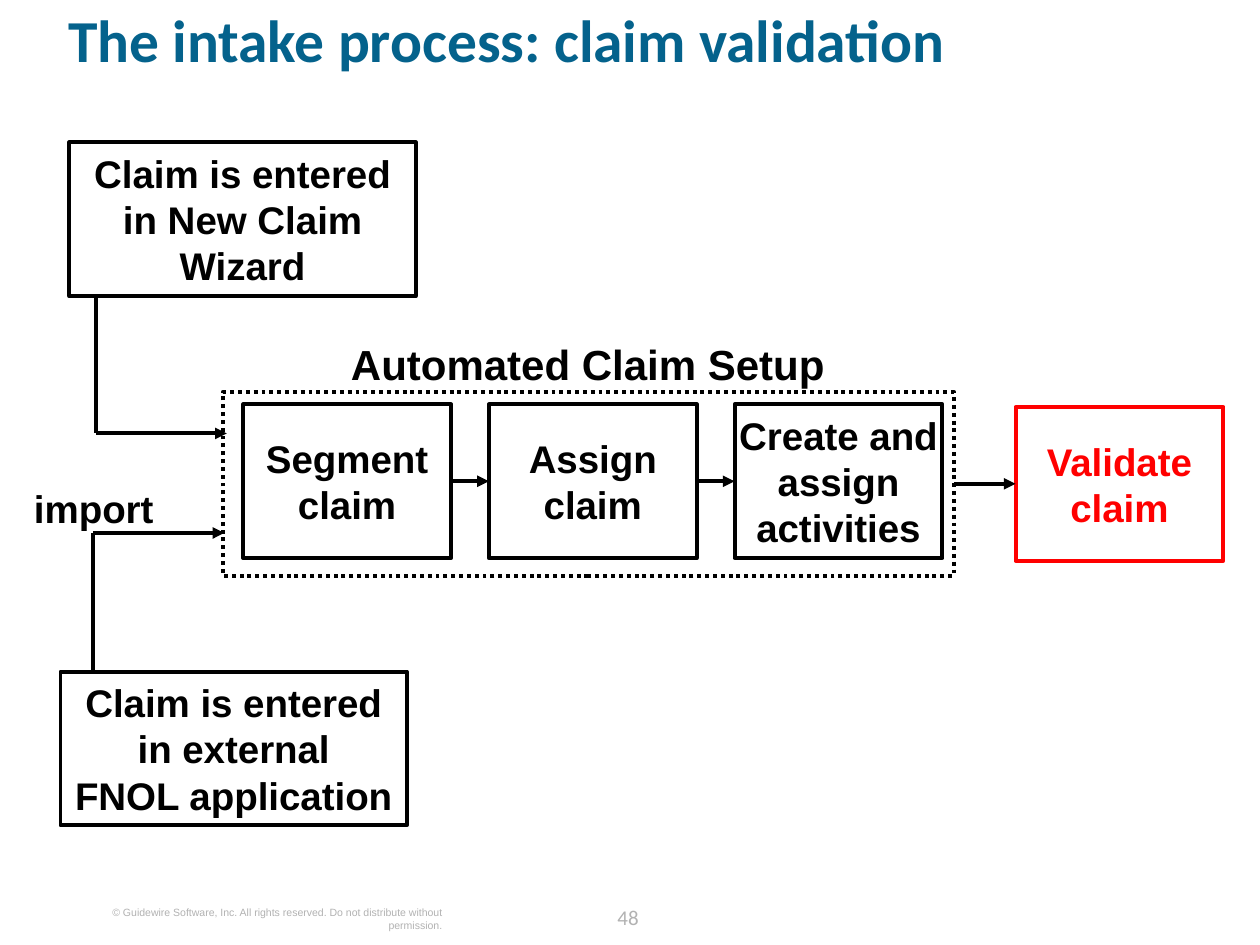
from dataclasses import dataclass

from lxml.etree import SubElement as Sub
from pptx import Presentation
from pptx.dml.color import RGBColor as RGB
from pptx.enum.dml import MSO_LINE as Dash
from pptx.enum.shapes import MSO_CONNECTOR as Conn, MSO_SHAPE as Shape
from pptx.enum.text import MSO_ANCHOR as Anchor, PP_ALIGN as Align
from pptx.oxml.ns import qn
from pptx.util import Inches, Pt


@dataclass(frozen=True)
class Theme:
    """Colours, fonts and sizes of the slide."""
    ink: RGB = RGB(0, 0, 0)
    paper: RGB = RGB(255, 255, 255)
    alert: RGB = RGB(255, 0, 0)
    blue: RGB = RGB(0x04, 0x62, 0x8C)
    gray: RGB = RGB(0xB2, 0xB2, 0xB2)
    body: str = "Arial"
    head: str = "Calibri"
    title: Pt = Pt(34)
    group: Pt = Pt(24)
    step: Pt = Pt(22)
    page: Pt = Pt(12)
    note: Pt = Pt(6)
    rule: Pt = Pt(2.25)


THEME = Theme()


def apply(item, vals):
    """Set each attribute in the dict on the item."""
    for name, val in vals.items():
        setattr(item, name, val)


def write(shape, text, size, color, face=THEME.body, bold=True,
          align=Align.CENTER, anchor=Anchor.TOP, pad=0, space=None):
    """Write one paragraph of text into a shape."""
    frame = shape.text_frame
    side = Inches(pad)
    apply(frame, dict(margin_left=side, margin_right=side, margin_top=0,
                      margin_bottom=0, word_wrap=True, vertical_anchor=anchor))
    para = frame.paragraphs[0]
    para.text = text
    apply(para, dict(alignment=align, line_spacing=space))
    font = para.runs[0].font
    for run in para.runs:
        font = run.font
        apply(font, dict(name=face, size=size, bold=bold))
        font.color.rgb = color


def label(slide, area, text, size, color, **style):
    """Add a text box."""
    box = slide.shapes.add_textbox(*map(Inches, area))
    write(box, text, size, color, **style)


def rect(slide, area, color=THEME.ink, dash=None):
    """Add an unfilled outlined rectangle."""
    box = slide.shapes.add_shape(Shape.RECTANGLE, *map(Inches, area))
    box.shadow.inherit = False
    box.fill.background()
    apply(box.line, dict(width=THEME.rule, dash_style=dash))
    box.line.color.rgb = color
    return box


def step(slide, area, text, color=THEME.ink, pad=0):
    """Add a filled box with centred text."""
    box = rect(slide, area, color)
    box.fill.solid()
    box.fill.fore_color.rgb = THEME.paper
    write(box, text, THEME.step, color, anchor=Anchor.MIDDLE, pad=pad)
    return box


def link(slide, start, end, arrow=True):
    """Add a straight line, with an arrowhead if wanted."""
    line = slide.shapes.add_connector(Conn.STRAIGHT, *map(Inches, start + end))
    line.line.width = THEME.rule
    line.line.color.rgb = THEME.ink
    if arrow:
        Sub(line.line._get_or_add_ln(), qn("a:tailEnd"), type="triangle")
    Sub(line._element.spPr, qn("a:effectLst"))
    return line


def join(slide, left, right):
    """Draw an arrow from the right side of one box to the next box."""
    line = link(slide, (0, 0), (0, 0))
    line.begin_connect(left, 3)
    line.end_connect(right, 1)


def bend(slide, start, end):
    """Draw a line down or up, then an arrow to the right."""
    turn = (start[0], end[1])
    link(slide, start, turn, arrow=False)
    link(slide, turn, end)


def main():
    """Build and save the slide."""
    deck = Presentation()
    apply(deck, dict(slide_width=Inches(10), slide_height=Inches(7.5)))
    slide = deck.slides.add_slide(deck.slide_layouts[6])

    label(slide, (0.54, 0.13, 9.1, 0.81), "The intake process: claim validation",
          THEME.title, THEME.blue, face=THEME.head, align=Align.LEFT, space=0.8)

    step(slide, (0.55, 1.13, 2.75, 1.22),
         "Claim is entered in New Claim Wizard", pad=0.1)
    step(slide, (0.48, 5.33, 2.75, 1.22),
         "Claim is entered in external\vFNOL application", pad=0.1)

    label(slide, (2.48, 2.69, 4.37, 0.4), "Automated Claim Setup",
          THEME.group, THEME.ink)
    setup = rect(slide, (1.77, 3.11, 5.8, 1.46), dash=Dash.ROUND_DOT)
    names = ("Segment\vclaim", "Assign\vclaim", "Create and assign activities")
    steps = [step(slide, (1.93 + 1.95 * i, 3.21, 1.65, 1.22), name)
             for i, name in enumerate(names)]
    check = step(slide, (8.06, 3.23, 1.65, 1.22), "Validate\vclaim", THEME.alert)

    for left, right in [*zip(steps, steps[1:]), (setup, check)]:
        join(slide, left, right)
    bend(slide, (0.76, 2.35), (1.8, 3.44))
    bend(slide, (0.74, 5.33), (1.78, 4.23))
    label(slide, (0.27, 3.85, 1.07, 0.37), "import",
          THEME.step, THEME.ink, align=Align.LEFT)

    label(slide, (0.61, 7.19, 2.9, 0.2),
          "© Guidewire Software, Inc. All rights reserved. "
          "Do not distribute without permission.",
          THEME.note, THEME.gray, bold=False, align=Align.RIGHT)
    label(slide, (4.7, 7.13, 0.57, 0.25), "48", THEME.page, THEME.gray,
          face=THEME.head, bold=False, space=Pt(18))
    deck.save("out.pptx")


if __name__ == "__main__":
    main()
